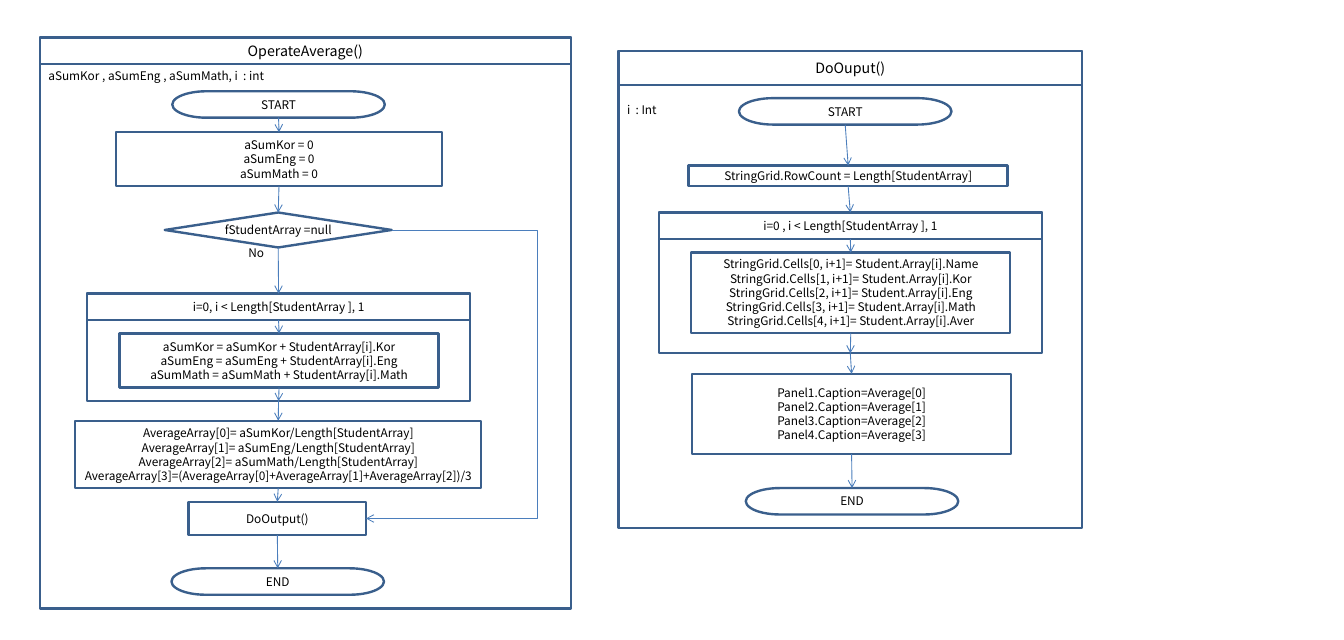
from lxml import etree
from pptx import Presentation
from pptx.dml.color import RGBColor
from pptx.enum.shapes import MSO_CONNECTOR, MSO_SHAPE
from pptx.enum.text import MSO_ANCHOR, PP_ALIGN
from pptx.oxml.ns import qn
from pptx.util import Pt

COLORS = {"outline": "3A5F8C", "arrow": "4B7EBC", "text": "000000"}
FONT = "Noto Sans CJK KR"
RECT = MSO_SHAPE.RECTANGLE
TERMINATOR = MSO_SHAPE.FLOWCHART_TERMINATOR
DECISION = MSO_SHAPE.FLOWCHART_DECISION
STRAIGHT, ELBOW = MSO_CONNECTOR.STRAIGHT, MSO_CONNECTOR.ELBOW
CENTER, LEFT = PP_ALIGN.CENTER, PP_ALIGN.LEFT
MIDDLE, TOP = MSO_ANCHOR.MIDDLE, MSO_ANCHOR.TOP
TOP_SITE, BOTTOM_SITE = 0, 2
TERMINATOR_SIZE = (179.3, 22.3)
LOOP_WIDTH, STEP_WIDTH, LOOP_HEAD = 323.3, 269.3, 22.3


def color(name):
    return RGBColor.from_string(COLORS[name])


def write(shape, lines, size=10, align=CENTER, anchor=MIDDLE, wrap=True, inset=(0, 0)):
    frame = shape.text_frame
    across, down = inset
    formats = {
        "word_wrap": wrap, "vertical_anchor": anchor,
        "margin_left": Pt(across), "margin_right": Pt(across),
        "margin_top": Pt(down), "margin_bottom": Pt(down),
    }
    for name, value in formats.items():
        setattr(frame, name, value)
    for index, line in enumerate(lines):
        para = frame.add_paragraph() if index else frame.paragraphs[0]
        para.alignment = align
        para.line_spacing = Pt(size * 1.2)
        span = para.add_run()
        span.text = line
        for name, value in {"name": FONT, "size": Pt(size)}.items():
            setattr(span.font, name, value)
        span.font.color.rgb = color("text")


def add_step(page, box, lines=(), kind=RECT, size=10):
    shape = page.shapes.add_shape(kind, *map(Pt, box))
    shape.shadow.inherit = False
    shape.fill.background()
    shape.line.color.rgb = color("outline")
    shape.line.width = Pt(2)
    write(shape, lines, size)
    return shape


def add_label(page, box, text, wrap=True, inset=(7.2, 3.6)):
    label = page.shapes.add_textbox(*map(Pt, box))
    write(label, [text], align=LEFT, anchor=TOP, wrap=wrap, inset=inset)


def add_arrow(page, kind, *ends):
    arrow = page.shapes.add_connector(kind, *ends)
    arrow.line.color.rgb = color("arrow")
    arrow.line.width = Pt(0.75)
    line = arrow.line._get_or_add_ln()
    etree.SubElement(line, qn("a:tailEnd"), type="arrow")
    etree.SubElement(arrow._element.spPr, qn("a:effectLst"))
    return arrow


def join(page, start, end, end_site=TOP_SITE):
    arrow = add_arrow(page, STRAIGHT, 0, 0, 0, 0)
    arrow.begin_connect(start, BOTTOM_SITE)
    arrow.end_connect(end, end_site)


def join_chain(page, *steps):
    for start, end in zip(steps, steps[1:]):
        join(page, start, end)


def join_around(page, start, end, rail):
    """Join the right sides of two steps by way of a vertical rail at x = rail."""
    start_x, end_x = start.left + start.width, end.left + end.width
    arrow = add_arrow(page, ELBOW, start_x, start.top + start.height // 2,
                      end_x, end.top + end.height // 2)
    bend = round((start_x - Pt(rail)) / (start_x - end_x) * 100000)
    guides = arrow._element.spPr.find(qn("a:prstGeom")).get_or_add_avLst()
    etree.SubElement(guides, qn("a:gd"), name="adj1", fmla=f"val {bend}")


def add_loop(page, box, condition, body_box, body):
    """Draw a loop frame with its condition and body, and return the frame."""
    left, top, width, height = box
    head = add_step(page, (left, top, width, LOOP_HEAD), [condition])
    frame = add_step(page, box)
    inner = add_step(page, body_box, body)
    join(page, head, inner)
    join(page, inner, frame, BOTTOM_SITE)
    return frame


def add_panel(page, box, title, title_height):
    left, top, width, height = box
    add_step(page, box)
    add_step(page, (left, top, width, title_height), [title], size=12)


def draw_operate_average(page, box):
    left, top, width, height = box

    def at(x, y, *size):
        return (left + x, top + y, *size)

    add_panel(page, box, "OperateAverage()", 22.3)
    add_label(page, at(0, 23, 198.7, 19.4), "aSumKor , aSumEng , aSumMath, i  : int", wrap=False)
    subjects = ("Kor", "Eng", "Math")
    start = add_step(page, at(111.6, 45.3, *TERMINATOR_SIZE), ["START"], TERMINATOR)
    reset = add_step(page, at(64.1, 79.9, 275, 45.4), [f"aSum{name} = 0" for name in subjects])
    check = add_step(page, at(105.2, 147.6, 191.5, 29.5), ["fStudentArray =null"], DECISION)
    loop = add_loop(page, at(39.6, 216, LOOP_WIDTH, 90.7),
                    "i=0, i < Length[StudentArray ], 1",
                    at(67, 249.8, STEP_WIDTH, 45.4),
                    [f"aSum{name} = aSum{name} + StudentArray[i].{name}" for name in subjects])
    averages = [f"AverageArray[{index}]= aSum{name}/Length[StudentArray]"
                for index, name in enumerate(subjects)]
    averages.append("AverageArray[3]=(AverageArray[0]+AverageArray[1]+AverageArray[2])/3")
    average = add_step(page, at(29.6, 323.3, 342.7, 56.9), averages)
    output = add_step(page, at(125.3, 391.7, 149.8, 28.1), ["DoOutput()"])
    end = add_step(page, at(110.9, 447.8, *TERMINATOR_SIZE), ["END"], TERMINATOR)
    add_label(page, at(175.7, 175.7, 15.8, 12.2), "No", wrap=False, inset=(0, 0))
    join_chain(page, start, reset, check, loop, average, output, end)
    join_around(page, check, output, left + 419.8)


def draw_do_output(page, box):
    left, top, width, height = box

    def at(x, y, *size):
        return (left + x, top + y, *size)

    add_panel(page, box, "DoOuput()", 28.8)
    add_label(page, at(0, 39.6, 102.2, 19.4), "i  : Int")
    start = add_step(page, at(101.5, 39.6, *TERMINATOR_SIZE), ["START"], TERMINATOR)
    rows = add_step(page, at(59, 96.5, STEP_WIDTH, 17.3),
                    ["StringGrid.RowCount = Length[StudentArray]"])
    fields = ("Name", "Kor", "Eng", "Math", "Aver")
    loop = add_loop(page, at(33.8, 136.1, LOOP_WIDTH, 118.8),
                    "i=0 , i < Length[StudentArray ], 1",
                    at(61.2, 169.9, STEP_WIDTH, 67.7),
                    [f"StringGrid.Cells[{index}, i+1]= Student.Array[i].{field}"
                     for index, field in enumerate(fields)])
    captions = add_step(page, at(61.9, 272.2, STEP_WIDTH, 67.7),
                        [f"Panel{index + 1}.Caption=Average[{index}]" for index in range(4)])
    end = add_step(page, at(107.3, 368.6, *TERMINATOR_SIZE), ["END"], TERMINATOR)
    join_chain(page, start, rows, loop, captions, end)


def main():
    deck = Presentation()
    deck.slide_width, deck.slide_height = Pt(1134), Pt(540)
    page = deck.slides.add_slide(deck.slide_layouts[6])
    draw_operate_average(page, (33.8, 31.7, 447.8, 481.7))
    draw_do_output(page, (522, 43.2, 391, 402.5))
    deck.save("out.pptx")


if __name__ == "__main__":
    main()
